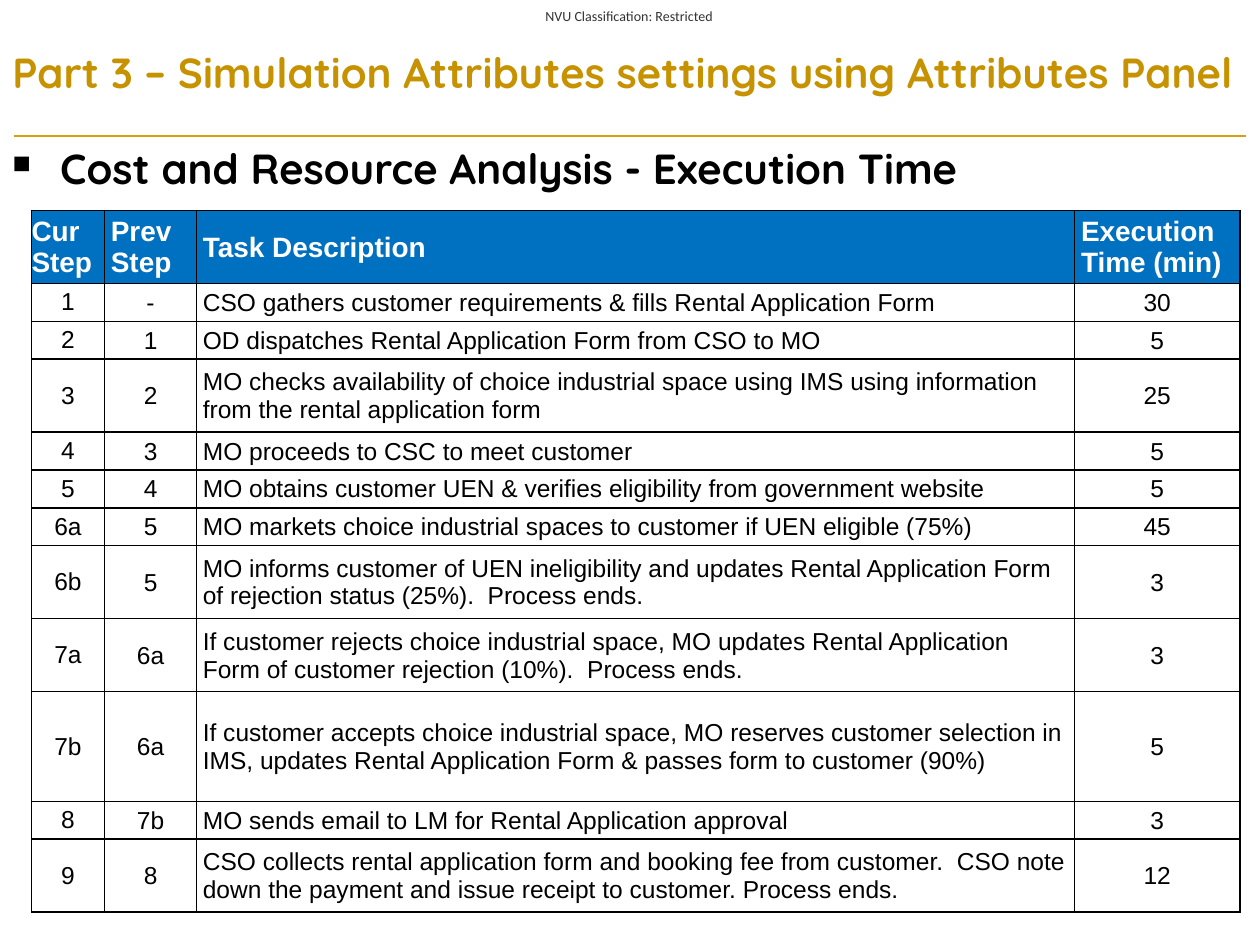
import pptx
import pptx.dml.color
import pptx.enum.shapes
import pptx.enum.text
import pptx.oxml
import pptx.oxml.ns
import pptx.util
from lxml import etree

Inches = pptx.util.Inches
Pt = pptx.util.Pt
RGBColor = pptx.dml.color.RGBColor
ALIGN = pptx.enum.text.PP_ALIGN
ANCHOR = pptx.enum.text.MSO_ANCHOR
qn = pptx.oxml.ns.qn

GOLD = RGBColor(0xC6, 0x92, 0x00)
RULE_GOLD = RGBColor(0xD5, 0x9F, 0x0F)
HEADER_BLUE = RGBColor(0x00, 0x70, 0xC0)
BLACK = RGBColor(0, 0, 0)
GREY = RGBColor(0x33, 0x33, 0x33)
WHITE = RGBColor(0xFF, 0xFF, 0xFF)

COLUMN_WIDTHS = [0.58, 0.73, 6.97, 1.31]
SINGLE, DOUBLE, TRIPLE = 0.3, 0.58, 0.87
TASK_COLUMN = 2

HEADINGS = ("Cur Step", "Prev Step", "Task Description", "Execution Time (min)")
TASKS = [
    (SINGLE, "1", "-", "CSO gathers customer requirements & fills Rental Application Form", "30"),
    (SINGLE, "2", "1", "OD dispatches Rental Application Form from CSO to MO", "5"),
    (DOUBLE, "3", "2", "MO checks availability of choice industrial space using IMS using "
     "information from the rental application form", "25"),
    (SINGLE, "4", "3", "MO proceeds to CSC to meet customer", "5"),
    (SINGLE, "5", "4", "MO obtains customer UEN & verifies eligibility from government website", "5"),
    (SINGLE, "6a", "5", "MO markets choice industrial spaces to customer if UEN eligible (75%)", "45"),
    (DOUBLE, "6b", "5", "MO informs customer of UEN ineligibility and updates Rental Application "
     "Form of rejection status (25%).  Process ends.", "3"),
    (DOUBLE, "7a", "6a", "If customer rejects choice industrial space, MO updates Rental "
     "Application Form of customer rejection (10%).  Process ends.", "3"),
    (TRIPLE, "7b", "6a", "If customer accepts choice industrial space, MO reserves customer "
     "selection in IMS, updates Rental Application Form & passes form to customer (90%)", "5"),
    (SINGLE, "8", "7b", "MO sends email to LM for Rental Application approval", "3"),
    (DOUBLE, "9", "8", "CSO collects rental application form and booking fee from customer.  "
     "CSO note down the payment and issue receipt to customer. Process ends.", "12"),
]


def write(frame, text, *, font, size, color, bold=False, align=ALIGN.LEFT, spacing=0):
    """Fill the first paragraph of a text frame and return it."""
    paragraph = frame.paragraphs[0]
    paragraph.alignment = align
    paragraph.space_before = paragraph.space_after = Pt(spacing)
    run = paragraph.add_run()
    run.text = text
    run.font.name = font
    run.font.size = Pt(size)
    run.font.bold = bold
    run.font.color.rgb = color
    return paragraph


def add_bullet(paragraph, character, percent, indent):
    properties = paragraph._p.get_or_add_pPr()
    properties.set("marL", str(Inches(indent)))
    properties.set("indent", str(-Inches(indent)))
    etree.SubElement(properties, qn("a:buSzPct"), val=str(percent * 1000))
    etree.SubElement(properties, qn("a:buChar"), char=character)


def add_borders(cell, color, width):
    properties = cell._tc.get_or_add_tcPr()
    for side in ("lnL", "lnR", "lnT", "lnB"):
        border = etree.SubElement(properties, qn(f"a:{side}"), w=str(Pt(width)))
        fill = etree.SubElement(border, qn("a:solidFill"))
        etree.SubElement(fill, qn("a:srgbClr"), val=str(color))


class SlideBuilder:
    heading_font = "Quicksand"
    table_font = "Arial"
    label_font = "Calibri"

    def __init__(self, slide):
        self.slide = slide

    def text(self, content, left, top, width, height, *, anchor=ANCHOR.TOP, inset=None, **style):
        box = self.slide.shapes.add_textbox(Inches(left), Inches(top), Inches(width), Inches(height))
        frame = box.text_frame
        frame.word_wrap = True
        frame.vertical_anchor = anchor
        if inset is not None:
            frame.margin_left = frame.margin_right = Inches(inset)
            frame.margin_top = frame.margin_bottom = Inches(inset)
        return write(frame, content, **style)

    def rule(self, left, right, y, color, width):
        line = self.slide.shapes.add_connector(
            pptx.enum.shapes.MSO_CONNECTOR.STRAIGHT, Inches(left), Inches(y), Inches(right), Inches(y))
        line.line.color.rgb = color
        line.line.width = Pt(width)
        etree.SubElement(line._element.spPr, qn("a:effectLst"))

    def cell(self, cell, content, column, is_heading):
        cell.vertical_anchor = ANCHOR.MIDDLE
        cell.margin_left = cell.margin_right = Inches(0.05 if column else 0)
        cell.margin_top = Inches(0.01 if column else 0)
        cell.margin_bottom = 0
        add_borders(cell, BLACK, 1)
        if is_heading:
            cell.fill.solid()
            cell.fill.fore_color.rgb = HEADER_BLUE
        else:
            cell.fill.background()
        left_aligned = is_heading or column == TASK_COLUMN
        write(cell.text_frame, content, font=self.table_font, size=16 if is_heading else 14,
              color=WHITE if is_heading else BLACK, bold=is_heading, spacing=6,
              align=ALIGN.LEFT if left_aligned else ALIGN.CENTER)

    def table(self, left, top, widths, rows):
        """Draw rows given as (height, text, text, ...), the first being the heading."""
        height = sum(row[0] for row in rows)
        table = self.slide.shapes.add_table(
            len(rows), len(widths), Inches(left), Inches(top), Inches(sum(widths)), Inches(height)).table
        table.horz_banding = False
        for column, width in enumerate(widths):
            table.columns[column].width = Inches(width)
        for index, (row_height, *contents) in enumerate(rows):
            table.rows[index].height = Inches(row_height)
            for column, content in enumerate(contents):
                self.cell(table.cell(index, column), content, column, index == 0)


def main():
    deck = pptx.Presentation()
    deck.slide_width, deck.slide_height = Inches(10), Inches(7.5)
    builder = SlideBuilder(deck.slides.add_slide(deck.slide_layouts[6]))

    builder.rule(0.11, 9.89, 1.08, RULE_GOLD, 0.75)
    builder.text("NVU Classification: Restricted", 4.18, 0, 1.63, 0.25, anchor=ANCHOR.MIDDLE,
                 inset=0, font=builder.label_font, size=8, color=GREY, align=ALIGN.CENTER)
    topic = builder.text("Cost and Resource Analysis - Execution Time", 0, 1.08, 10, 0.5,
                         font=builder.heading_font, size=24, color=BLACK, bold=True)
    add_bullet(topic, "■", 60, 0.38)
    builder.text("Part 3 – Simulation Attributes settings using Attributes Panel", 0, 0.32, 10, 0.5,
                 anchor=ANCHOR.MIDDLE, font=builder.heading_font, size=24, color=GOLD, bold=True)
    builder.table(0.25, 1.67, COLUMN_WIDTHS, [(DOUBLE, *HEADINGS), *TASKS])

    deck.save("out.pptx")


if __name__ == "__main__":
    main()
